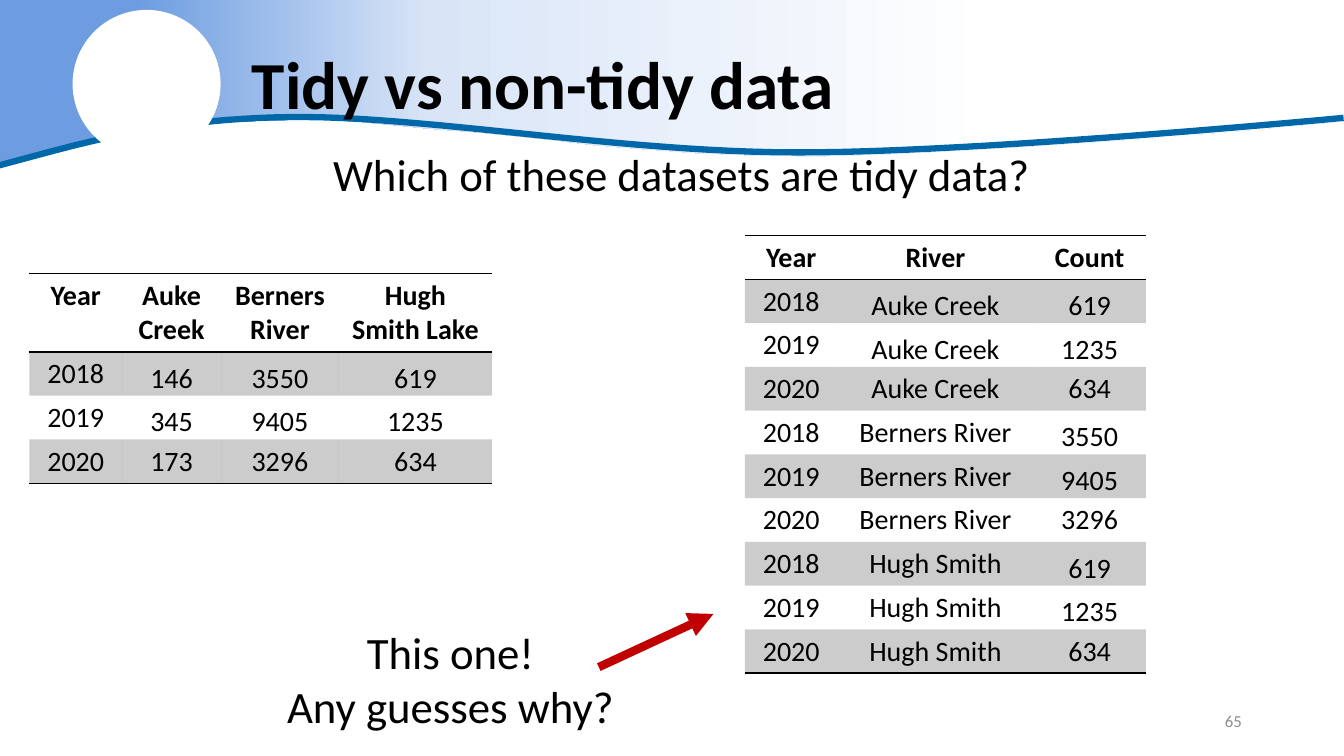
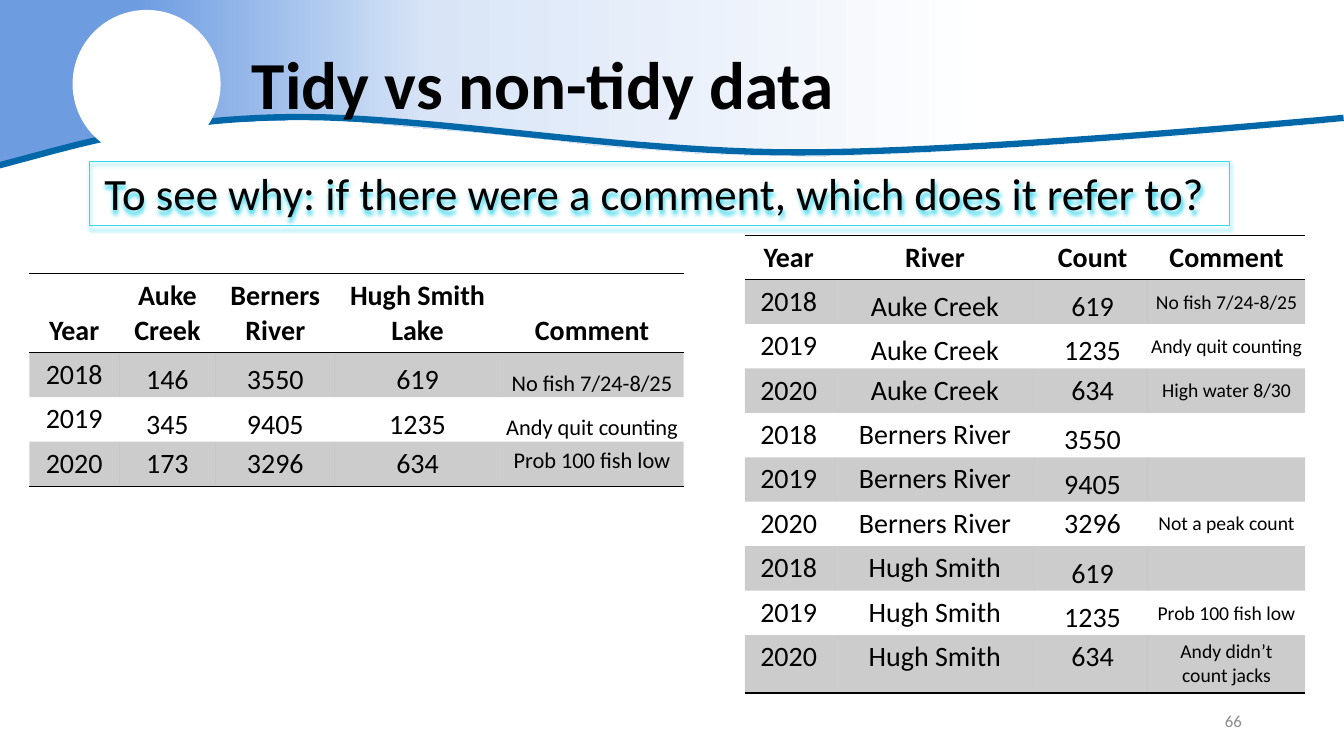
from itertools import product

from lxml import etree
from pptx import Presentation, util as u
from pptx.dml.color import RGBColor
from pptx.enum import shapes, text
from pptx.oxml.ns import qn

COLORS = {
    "ink": "000000", "muted": "8C8C8C", "paper": "FFFFFF",
    "sky": "6D9CE1", "haze": "D9E5F7", "wave": "0068A8",
    "arrow": "C00000", "glow": "38D7EC",
}
FONT = "Calibri"
NO_GRID_STYLE = "{2D5ABB26-0587-4C30-8999-92F81FD0307C}"
SLIDE_SIZE = (33.87, 19.05)

# Band outline and wave curve, in cm.
BAND_EDGE = [
    (33.88, 3.05), (31.45, 3.28), (29.03, 3.48), (26.8, 3.63), (24.43, 3.78),
    (22.25, 3.89), (20.52, 3.94), (18.85, 3.91), (17.58, 3.86), (16.26, 3.76),
    (15.01, 3.66), (13.79, 3.51), (12.22, 3.35), (10.92, 3.25), (9.09, 3.07),
    (8.28, 3.02), (7.32, 3.02), (5.79, 3.07), (4.83, 3.18), (3.45, 3.35),
    (2.18, 3.61), (1.12, 3.84), (0, 4.19),
]
BAND_STOPS = [(10, "sky"), (32, "haze"), (74, "paper")]
WAVE_START = (-0.03, 4.17)
WAVE_CURVES = [
    ((1.91, 3.66), (3.94, 3.0), (7.29, 2.95)),
    ((10.64, 2.9), (15.62, 3.84), (20.07, 3.84)),
    ((24.49, 3.86), (33.86, 2.97), (33.86, 2.97)),
]

YEARS = ["2018", "2019", "2020"]
RIVERS = ["Auke Creek", "Berners River", "Hugh Smith"]
COUNTS = ["619", "1235", "634", "3550", "9405", "3296", "619", "1235", "634"]
WIDE = [
    ["Year", "Auke Creek", "Berners River", "Hugh Smith Lake"],
    ["2018", "146", "3550", "619"],
    ["2019", "345", "9405", "1235"],
    ["2020", "173", "3296", "634"],
]
LONG = [["Year", "River", "Count"]] + [
    [year, river, count]
    for (river, year), count in zip(product(RIVERS, YEARS), COUNTS)
]
WIDE_COMMENTS = ["Comment", "No fish 7/24-8/25", "Andy quit counting",
                 "Prob 100 fish low"]
LONG_COMMENTS = ["Comment", "No fish 7/24-8/25", "Andy quit counting",
                 "High water 8/30", "", "", "Not a peak count", "",
                 "Prob 100 fish low", "Andy didn’t count jacks"]
WIDE_AT, LONG_AT = (0.74, 6.9), (18.77, 5.94)

ALIGN, ANCHOR = text.PP_ALIGN, text.MSO_ANCHOR


def rgb(name):
    return RGBColor.from_string(COLORS[name])


def add_element(parent, tag, **attributes):
    return etree.SubElement(parent, qn(tag), attributes)


def write(frame, lines, size, color="ink", bold=False, align=ALIGN.CENTER,
          spacing=None):
    for index, line in enumerate(lines):
        para = frame.add_paragraph() if index else frame.paragraphs[0]
        para.alignment = align
        para.line_spacing = spacing
        span = para.add_run()
        span.text = line
        for key, value in dict(name=FONT, size=u.Pt(size), bold=bold).items():
            setattr(span.font, key, value)
        span.font.color.rgb = rgb(color)


def add_text(slide, box, lines, size, anchor=ANCHOR.TOP, **style):
    frame = slide.shapes.add_textbox(*map(u.Cm, box)).text_frame
    frame.word_wrap = True
    frame.vertical_anchor = anchor
    write(frame, lines, size, **style)


def add_outline(slide, points, close):
    start, *rest = [(u.Cm(x), u.Cm(y)) for x, y in points]
    builder = slide.shapes.build_freeform(*start, scale=1.0)
    builder.add_line_segments(rest, close=close)
    outline = builder.convert_to_shape()
    outline.shadow.inherit = False
    return outline


def wave_points(steps=24):
    """Sample the chain of cubic curves as a polyline."""
    points = [WAVE_START]
    for first, second, end in WAVE_CURVES:
        controls = (points[-1], first, second, end)
        for step in range(1, steps + 1):
            t = step / steps
            weights = ((1 - t) ** 3, 3 * t * (1 - t) ** 2,
                       3 * t * t * (1 - t), t ** 3)
            points.append(tuple(
                sum(w * point[axis] for w, point in zip(weights, controls))
                for axis in (0, 1)))
    return points


def add_header(slide, title):
    band = add_outline(slide, [(0, 0), (33.88, 0)] + BAND_EDGE, True)
    band.line.fill.background()
    band.fill.gradient()
    band.fill.gradient_angle = 0
    stops = band._element.spPr.find(qn("a:gradFill")).find(qn("a:gsLst"))
    for stop in list(stops):
        stops.remove(stop)
    for position, color in BAND_STOPS:
        stop = add_element(stops, "a:gs", pos=str(position * 1000))
        add_element(stop, "a:srgbClr", val=COLORS[color])

    wave = add_outline(slide, wave_points(), False)
    wave.fill.background()
    wave.line.color.rgb = rgb("wave")
    wave.line.width = u.Pt(4.5)

    disc = slide.shapes.add_shape(shapes.MSO_SHAPE.OVAL,
                                  *map(u.Cm, (1.83, 0.25, 3.73, 3.73)))
    disc.shadow.inherit = False
    disc.fill.solid()
    disc.fill.fore_color.rgb = rgb("paper")
    disc.line.fill.background()

    add_text(slide, (6.1, 0.51, 25.45, 3.4), [title], 48, ANCHOR.MIDDLE,
             bold=True, align=ALIGN.LEFT, spacing=0.9)


def add_number(slide, number):
    add_text(slide, (23.93, 17.65, 7.62, 1.02), [str(number)], 12,
             ANCHOR.MIDDLE, color="muted", align=ALIGN.RIGHT)


def shade(cell):
    cell.fill.solid()
    cell.fill.fore_color.rgb = rgb("ink")
    color = cell._tc.tcPr.find(qn("a:solidFill"))[0]
    add_element(color, "a:alpha", val="20000")


def rule(cell, sides):
    """Draw thin lines on the given sides; they precede the fill in XML."""
    properties = cell._tc.get_or_add_tcPr()
    for index, side in enumerate(sides):
        line = etree.Element(qn(f"a:ln{side}"), w=str(u.Pt(1)))
        fill = add_element(line, "a:solidFill")
        add_element(fill, "a:srgbClr", val=COLORS["ink"])
        properties.insert(index, line)


def is_snug(row, column):
    """Tell whether a body cell has thin margins and sits on its lower edge."""
    return column > 0 and row[0] != "2020" and row[column] not in RIVERS[1:]


def add_data_table(slide, at, rows, widths, heights, header_anchor=ANCHOR.TOP,
                   comment_size=20, comment_anchor=None):
    frame = slide.shapes.add_table(len(rows), len(widths), *map(
        u.Cm, (*at, sum(widths), sum(heights))))
    table = frame.table
    table.first_row = table.horz_banding = False
    table._tbl.tblPr.find(qn("a:tableStyleId")).text = NO_GRID_STYLE
    for column, width in zip(table.columns, widths):
        column.width = u.Cm(width)
    for line, height in zip(table.rows, heights):
        line.height = u.Cm(height)

    for r, row in enumerate(rows):
        for c, value in enumerate(row):
            cell = table.cell(r, c)
            header = r == 0
            comment = not header and rows[0][c] == "Comment"
            snug = not header and is_snug(row, c)
            if snug:
                for side in ("left", "right", "top"):
                    setattr(cell, f"margin_{side}", u.Cm(0.03))
                cell.margin_bottom = 0
            anchor = ANCHOR.BOTTOM if snug else ANCHOR.TOP
            if header:
                anchor = header_anchor
            elif comment and comment_anchor is not None:
                anchor = comment_anchor
            cell.vertical_anchor = anchor
            if r % 2:
                shade(cell)
            else:
                cell.fill.background()
            if header:
                rule(cell, "TB")
            elif r == len(rows) - 1:
                rule(cell, "B")
            if value:
                write(cell.text_frame, [value],
                      comment_size if comment else 20, bold=header)


def add_arrow(slide, start, end):
    arrow = slide.shapes.add_connector(shapes.MSO_CONNECTOR.STRAIGHT,
                                       *map(u.Cm, (*start, *end)))
    arrow.line.color.rgb = rgb("arrow")
    arrow.line.width = u.Pt(6)
    add_element(arrow.line._get_or_add_ln(), "a:tailEnd", type="triangle")
    add_element(arrow._element.spPr, "a:effectLst")


def add_callout(slide, box, line):
    callout = slide.shapes.add_shape(shapes.MSO_SHAPE.RECTANGLE,
                                     *map(u.Cm, box))
    callout.fill.background()
    callout.line.color.rgb = rgb("glow")
    callout.line.width = u.Pt(0.75)
    callout.shadow.inherit = False
    effects = callout._element.spPr.find(qn("a:effectLst"))
    shadow = add_element(effects, "a:outerShdw", blurRad="40000", dist="23000",
                         dir="5400000", rotWithShape="0")
    add_element(shadow, "a:srgbClr", val=COLORS["glow"])
    callout.text_frame.word_wrap = True
    callout.text_frame.vertical_anchor = ANCHOR.TOP
    write(callout.text_frame, [line], 32)


def add_slide(deck, number):
    slide = deck.slides.add_slide(deck.slide_layouts[6])
    add_header(slide, "Tidy vs non-tidy data")
    add_number(slide, number)
    return slide


def question_slide(deck):
    slide = add_slide(deck, 65)
    add_text(slide, (7.59, 3.58, 19.18, 1.63),
             ["Which of these datasets are tidy data?"], 32)
    add_text(slide, (4.98, 15.62, 12.75, 3),
             ["This one!", "Any guesses why?"], 32)
    add_data_table(slide, WIDE_AT, WIDE, [2.34, 2.49, 2.97, 3.86],
                   [1.97] + [1.1] * 3)
    add_data_table(slide, LONG_AT, LONG, [2.34, 4.93, 2.84], [1.1] * 10)
    add_arrow(slide, (15.09, 16.81), (17.98, 15.47))


def with_comments(rows, comments):
    return [row + [comment] for row, comment in zip(rows, comments)]


def comment_slide(deck):
    slide = add_slide(deck, 66)
    add_data_table(slide, WIDE_AT, with_comments(WIDE, WIDE_COMMENTS),
                   [2.26, 2.44, 3, 4.17, 4.62], [1.99] + [1.12] * 3,
                   header_anchor=ANCHOR.BOTTOM, comment_size=16)
    add_data_table(slide, LONG_AT, with_comments(LONG, LONG_COMMENTS),
                   [2.21, 5.16, 2.79, 3.96], [1.1] + [1.12] * 8 + [1.46],
                   comment_size=14, comment_anchor=ANCHOR.MIDDLE)
    add_callout(slide, (2.26, 4.06, 28.73, 1.63),
                "To see why: if there were a comment, which does it refer to? ")


def main():
    deck = Presentation()
    deck.slide_width, deck.slide_height = map(u.Cm, SLIDE_SIZE)
    question_slide(deck)
    comment_slide(deck)
    deck.save("out.pptx")


if __name__ == "__main__":
    main()
